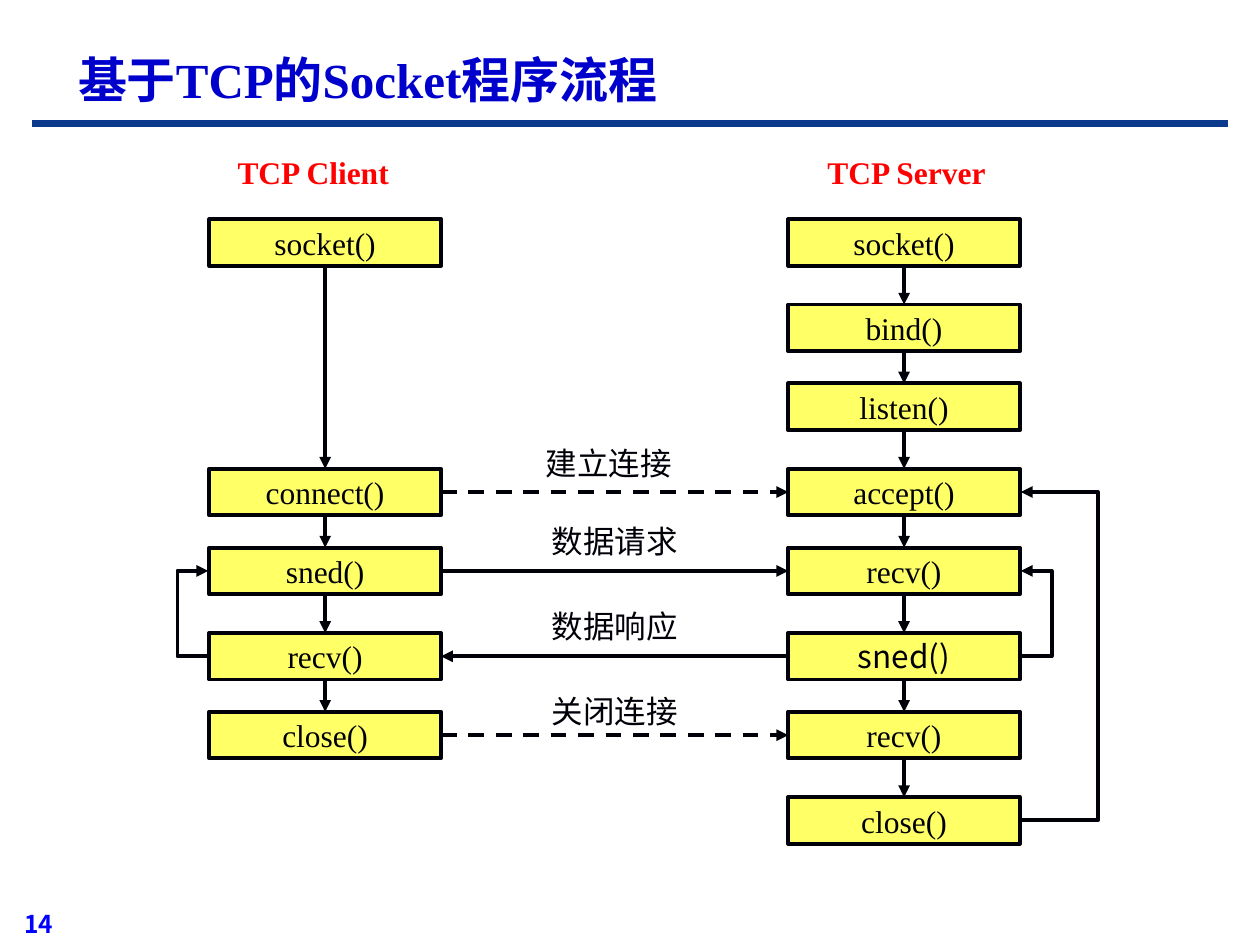
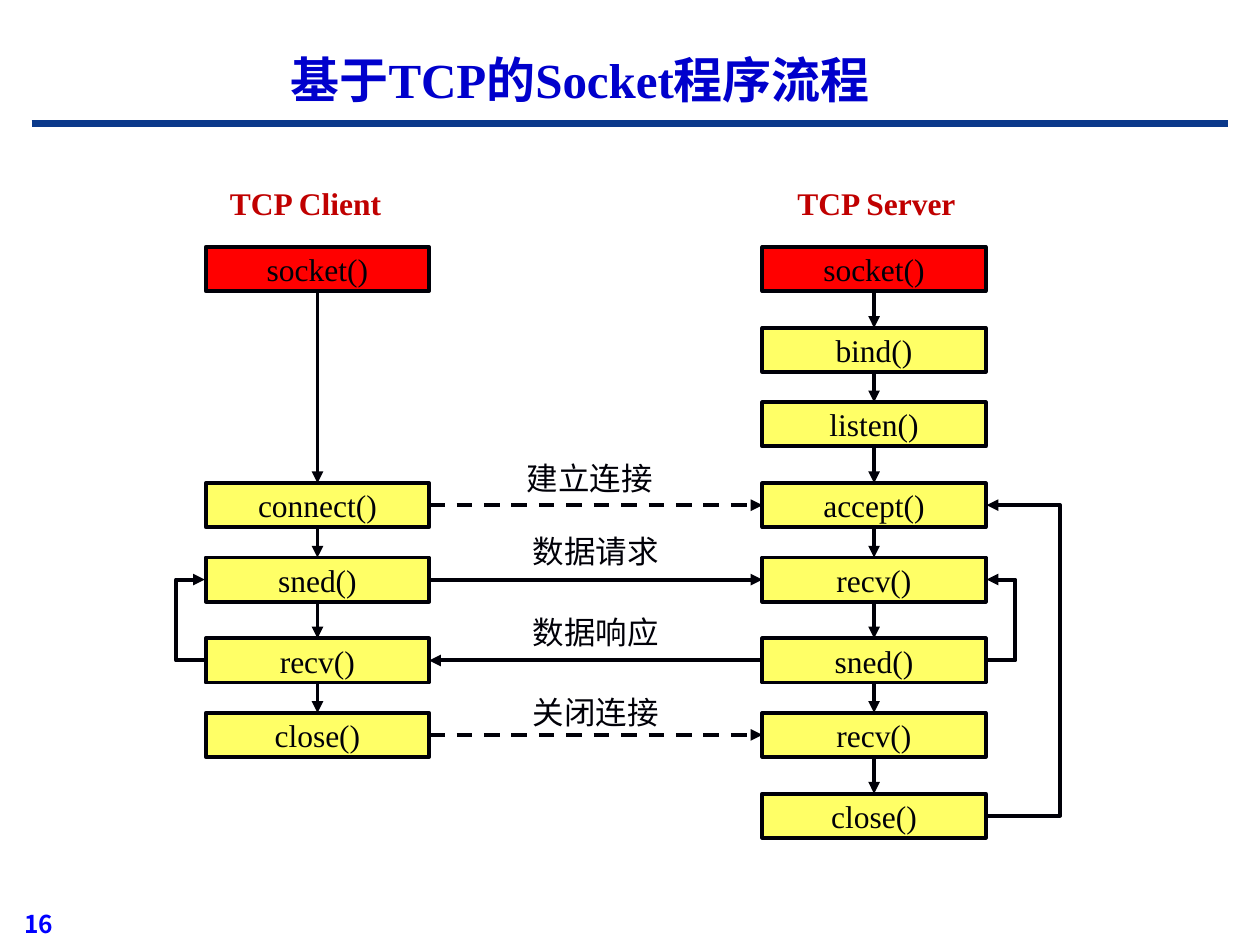
"""Builds two slides showing the call sequence of a TCP client and server."""
from dataclasses import dataclass
from itertools import accumulate, cycle, islice, pairwise

from lxml import etree
from pptx import Presentation
from pptx import util as u
from pptx.dml.color import RGBColor
from pptx.enum import dml, shapes, text
from pptx.oxml.ns import qn

TITLE = "基于TCP的Socket程序流程"
CLIENT = {0: "socket()", 3: "connect()", 4: "sned()", 5: "recv()", 6: "close()"}
SERVER = dict(enumerate(["socket()", "bind()", "listen()", "accept()",
                         "recv()", "sned()", "recv()", "close()"]))
MESSAGES = [
    {"row": 3, "label": "建立连接", "dashed": True, "lift": 0.62, "shift": -0.12},
    {"row": 4, "label": "数据请求", "lift": 0.64},
    {"row": 5, "label": "数据响应", "lift": 0.64, "reply": True},
    {"row": 6, "label": "关闭连接", "dashed": True, "lift": 0.53},
]
SLIDES = [
    {"page": "14", "title_width": 16.08, "title_align": text.PP_ALIGN.LEFT,
     "heading_color": "FF0000", "highlighted_rows": (), "sans_server_rows": (5,),
     "client_left": 4.22, "server_left": 15.89, "box": (4.67, 0.94),
     "top": 4.42, "steps": (1.72, 1.59), "heading_lift": 1.46,
     "short_loop": 0.64, "long_loop": 1.57},
    {"page": "16", "title_width": 20.75, "title_align": text.PP_ALIGN.CENTER,
     "heading_color": "C00000", "highlighted_rows": (0,), "sans_server_rows": (),
     "client_left": 4.15, "server_left": 15.37, "box": (4.5, 0.89),
     "top": 4.98, "steps": (1.63, 1.5), "heading_lift": 1.39,
     "short_loop": 0.6, "long_loop": 1.5},
]
BOTTOM, TOP, LEFT, RIGHT = 2, 0, 1, 3


@dataclass(frozen=True)
class Theme:
    ink: str = "000008"
    box: str = "FFFF66"
    highlight: str = "FF0000"
    title: str = "0000CC"
    page: str = "0000FF"
    band: str = "0B398B"
    serif: str = "Times New Roman"
    sans: str = "Noto Sans CJK SC"
    page_font: str = "Noto Sans CJK JP"
    title_size: int = 28
    body_size: int = 18
    page_size: int = 14
    line: float = 2.25
    band_line: float = 4.5


THEME = Theme()


def write(shape, content, size=THEME.body_size, color=THEME.ink, font=THEME.serif,
          bold=False, align=text.PP_ALIGN.CENTER, anchor=text.MSO_ANCHOR.TOP):
    frame = shape.text_frame
    frame.text = content
    frame.word_wrap = True
    frame.auto_size = text.MSO_AUTO_SIZE.NONE
    frame.vertical_anchor = anchor
    paragraph = frame.paragraphs[0]
    paragraph.alignment = align
    run = paragraph.runs[0]
    run.font.size = u.Pt(size)
    run.font.name = font
    run.font.bold = bold
    run.font.color.rgb = RGBColor.from_string(color)
    east_asian = THEME.sans if font == THEME.serif else font
    etree.SubElement(run.font._element, qn("a:ea"), typeface=east_asian)


def add_label(slide, content, left, top, width, height=1.07, **style):
    label = slide.shapes.add_textbox(u.Cm(left), u.Cm(top), u.Cm(width), u.Cm(height))
    write(label, content, **style)


def add_line(slide, start=(0, 0), end=(0, 0), kind=shapes.MSO_CONNECTOR.STRAIGHT,
             color=THEME.ink, width=THEME.line, dashed=False, arrow=True):
    connector = slide.shapes.add_connector(kind, *map(u.Cm, (*start, *end)))
    connector.line.color.rgb = RGBColor.from_string(color)
    connector.line.width = u.Pt(width)
    if dashed:
        connector.line.dash_style = dml.MSO_LINE.DASH
    if arrow:
        etree.SubElement(connector.line._get_or_add_ln(), qn("a:tailEnd"), type="triangle")
    etree.SubElement(connector._element.spPr, qn("a:effectLst"))
    return connector


def join(slide, source, source_side, target, target_side, **style):
    connector = add_line(slide, **style)
    connector.begin_connect(source, source_side)
    connector.end_connect(target, target_side)


def add_loop(slide, edge, start_y, end_y, reach):
    """Draws an elbow arrow that leaves and re-enters one side of a column."""
    offset = 0.02 if reach > 0 else -0.02
    loop = add_line(slide, (edge, start_y), (edge + offset, end_y),
                    kind=shapes.MSO_CONNECTOR.ELBOW)
    geometry = loop._element.spPr.find(qn("a:prstGeom"))
    guides = geometry.find(qn("a:avLst"))
    if guides is None:
        guides = etree.SubElement(geometry, qn("a:avLst"))
    etree.SubElement(guides, qn("a:gd"), name="adj1",
                     fmla=f"val {round(reach / offset * 100000)}")


def add_column(slide, calls, left, tops, design, sans_rows=()):
    width, height = design["box"]
    boxes = {}
    for row, call in calls.items():
        box = slide.shapes.add_shape(shapes.MSO_SHAPE.RECTANGLE, u.Cm(left),
                                     u.Cm(tops[row]), u.Cm(width), u.Cm(height))
        box.shadow.inherit = False
        box.fill.solid()
        fill = THEME.highlight if row in design["highlighted_rows"] else THEME.box
        box.fill.fore_color.rgb = RGBColor.from_string(fill)
        box.line.color.rgb = RGBColor.from_string(THEME.ink)
        box.line.width = u.Pt(THEME.line)
        write(box, call, font=THEME.sans if row in sans_rows else THEME.serif,
              anchor=text.MSO_ANCHOR.MIDDLE)
        box.text_frame.margin_top = box.text_frame.margin_bottom = 0
        boxes[row] = box
    for upper, lower in pairwise(boxes.values()):
        join(slide, upper, BOTTOM, lower, TOP)
    return boxes


def add_frame(slide, design):
    title = slide.shapes.title
    title.left, title.top = u.Cm(1.32), u.Cm(0.81)
    title.width, title.height = u.Cm(design["title_width"]), u.Cm(1.57)
    write(title, TITLE, THEME.title_size, THEME.title, bold=True,
          align=design["title_align"], anchor=text.MSO_ANCHOR.MIDDLE)
    add_line(slide, (0.64, 2.49), (24.76, 2.49), color=THEME.band,
             width=THEME.band_line, arrow=False)
    add_label(slide, design["page"], 0, 17.98, 1.32, size=THEME.page_size,
              color=THEME.page, font=THEME.page_font, bold=True,
              align=text.PP_ALIGN.RIGHT, anchor=text.MSO_ANCHOR.BOTTOM)


def add_flow(slide, design):
    width, height = design["box"]
    client_left, server_left = design["client_left"], design["server_left"]
    client_right, server_right = client_left + width, server_left + width
    steps = islice(cycle(design["steps"]), len(SERVER) - 1)
    tops = list(accumulate(steps, initial=design["top"]))
    middles = [top + height / 2 for top in tops]

    client = add_column(slide, CLIENT, client_left, tops, design)
    server = add_column(slide, SERVER, server_left, tops, design,
                        design["sans_server_rows"])
    for heading, left, shift in (("TCP Client", client_left, -0.24),
                                 ("TCP Server", server_left, 0.05)):
        add_label(slide, heading, left + shift, design["top"] - design["heading_lift"],
                  width, color=design["heading_color"], bold=True)

    for message in MESSAGES:
        row = message["row"]
        ends = [(client[row], RIGHT), (server[row], LEFT)]
        if message.get("reply"):
            ends.reverse()
        join(slide, *ends[0], *ends[1], dashed=message.get("dashed", False))
        add_label(slide, message["label"], client_right + message.get("shift", 0),
                  tops[row] - message["lift"], server_left - client_right)

    add_loop(slide, client_left, middles[5], middles[4], -design["short_loop"])
    add_loop(slide, server_right, middles[5], middles[4], design["short_loop"])
    add_loop(slide, server_right, middles[7], middles[3], design["long_loop"])


def main():
    presentation = Presentation()
    presentation.slide_width, presentation.slide_height = u.Cm(25.4), u.Cm(19.05)
    for design in SLIDES:
        slide = presentation.slides.add_slide(presentation.slide_layouts[5])
        add_frame(slide, design)
        add_flow(slide, design)
    presentation.save("out.pptx")


if __name__ == "__main__":
    main()
